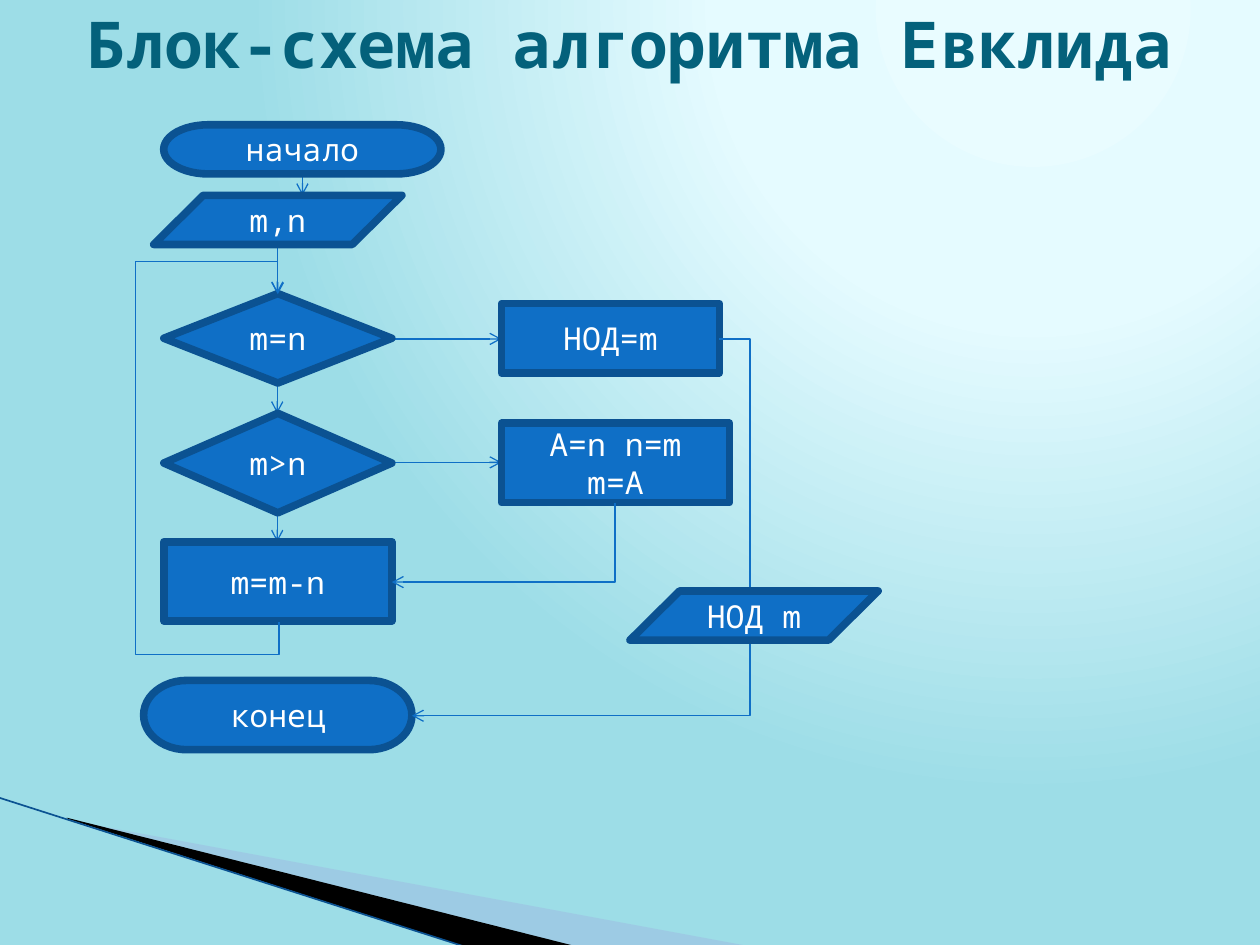
from lxml import etree
from pptx import Presentation
from pptx.dml.color import RGBColor
from pptx.enum import shapes, text
from pptx.oxml import parse_xml
from pptx.oxml.ns import nsdecls, qn
from pptx.util import Inches, Pt

COLORS = {
    "title": "04617B", "block": "0F6FC6", "border": "0B5292", "label": "FFFFFF",
    "wedge": "9DB2E1", "shade": "000000", "edge": "0B5292",
    "glow": "E9FCFF", "halo": "E5FBFF", "sky": "9DDDE7",
}
FONT = "Noto Sans Mono"
KIND = shapes.MSO_SHAPE
LINK = shapes.MSO_CONNECTOR


def color(name):
    return RGBColor.from_string(COLORS[name])


def add_link(kind, start, end, line_color="block", width=0.75, arrow=True):
    link = slide.shapes.add_connector(kind, *map(Inches, start + end))
    link.line.color.rgb = color(line_color)
    link.line.width = Pt(width)
    if arrow:
        etree.SubElement(link.line._get_or_add_ln(), qn("a:tailEnd"), type="arrow")
    etree.SubElement(link._element.spPr, qn("a:effectLst"))
    return link


prs = Presentation()
prs.slide_width, prs.slide_height = Inches(10), Inches(7.5)
slide = prs.slides.add_slide(prs.slide_layouts[6])

# Background: a circular glow from the upper right
slide.background.fill.gradient()
gradient = slide.background._cSld.find(".//" + qn("a:gradFill"))
stops = "".join(
    f'<a:gs pos="{pos * 1000}"><a:srgbClr val="{COLORS[name]}"/></a:gs>'
    for pos, name in [(0, "glow"), (40, "halo"), (100, "sky")])
gradient.getparent().replace(gradient, parse_xml(
    f'<a:gradFill {nsdecls("a")} rotWithShape="1"><a:gsLst>{stops}</a:gsLst>'
    '<a:path path="circle"><a:fillToRect l="65000" t="0" r="0" b="98000"/>'
    '</a:path></a:gradFill>'))

# Corner decoration
wedges = [
    ("wedge", [(0.55, 6.51), (5.95, 7.51), (4.56, 7.51), (0.55, 6.5)]),
    ("shade", [(0.53, 6.49), (4.57, 7.51), (3.72, 7.52), (0.54, 6.5)]),
]
for name, points in wedges:
    corners = [(Inches(x), Inches(y)) for x, y in points]
    builder = slide.shapes.build_freeform(*corners[0])
    builder.add_line_segments(corners[1:], close=True)
    wedge = builder.convert_to_shape()
    wedge.shadow.inherit = False
    wedge.fill.solid()
    wedge.fill.fore_color.rgb = color(name)
    wedge.line.fill.background()
    if name == "wedge":
        tint = wedge._element.spPr.find(".//" + qn("a:srgbClr"))
        etree.SubElement(tint, qn("a:alpha"), val="40000")
add_link(LINK.STRAIGHT, (-0.01, 6.33), (3.71, 7.52), "edge", 0.95, arrow=False)

# Title
title = slide.shapes.add_textbox(Inches(0.59), Inches(0.21), Inches(9), Inches(0.25))
title.text_frame.word_wrap = True
title.text_frame.vertical_anchor = text.MSO_ANCHOR.MIDDLE
heading = title.text_frame.paragraphs[0]
heading.text = "Блок-схема алгоритма Евклида"
heading.font.name, heading.font.size, heading.font.bold = FONT, Pt(36.9), True
heading.font.color.rgb = color("title")

# Straight arrows
arrows = [
    ((2.4, 1.39), (2.4, 1.55)),
    ((2.2, 1.94), (2.2, 2.33)),
    ((2.2, 3.04), (2.2, 3.28)),
    ((2.2, 4.07), (2.2, 4.3)),
    ((3.11, 2.69), (3.98, 2.69)),
    ((3.11, 3.67), (3.98, 3.67)),
]
for start, end in arrows:
    add_link(LINK.STRAIGHT, start, end)

# Blocks
blocks = [
    (KIND.FLOWCHART_TERMINATOR, 1.3, 0.99, 2.2, 0.39, "начало"),
    (KIND.FLOWCHART_DATA, 1.22, 1.55, 1.97, 0.39, "m,n"),
    (KIND.FLOWCHART_DECISION, 1.3, 2.33, 1.81, 0.71, "m=n"),
    (KIND.FLOWCHART_DECISION, 1.3, 3.28, 1.81, 0.79, "m>n"),
    (KIND.RECTANGLE, 1.3, 4.3, 1.81, 0.63, "m=m-n"),
    (KIND.RECTANGLE, 3.98, 2.41, 1.73, 0.55, "НОД=m"),
    (KIND.RECTANGLE, 3.98, 3.36, 1.81, 0.63, "A=n n=m m=A"),
    (KIND.FLOWCHART_TERMINATOR, 1.14, 5.4, 2.13, 0.55, "конец"),
    (KIND.FLOWCHART_DATA, 5, 4.69, 1.97, 0.39, "НОД m"),
]

# Bent arrows, as unrotated start and end, turn in degrees, preset, adjustments
bends = [
    ((3.51, 3.63), (0.91, 3.64), 90, "bentConnector5", [-0.1, 116, 1.1]),
    ((3.68, 3.42), (4.31, 5.19), 90, "bentConnector2", []),
    ((5.71, 2.69), (3.27, 5.68), 0, "bentConnector3", [-0.1]),
]


def add_bend(start, end, turn, preset, adjustments):
    """Add an elbow arrow whose preset and bend points are set explicitly."""
    props = add_link(LINK.ELBOW, start, end)._element.spPr
    props.find(qn("a:xfrm")).set("rot", str(turn * 60000))
    geometry = props.find(qn("a:prstGeom"))
    geometry.set("prst", preset)
    for number, value in enumerate(adjustments, 1):
        etree.SubElement(geometry.find(qn("a:avLst")), qn("a:gd"),
                         name=f"adj{number}", fmla=f"val {round(value * 100000)}")


for kind, left, top, width, height, label in blocks:
    if label == "НОД m":  # the output block covers the arrow to the end block
        for bend in bends:
            add_bend(*bend)
    block = slide.shapes.add_shape(kind, *map(Inches, (left, top, width, height)))
    block.shadow.inherit = False
    block.fill.solid()
    block.fill.fore_color.rgb = color("block")
    block.line.color.rgb = color("border")
    block.line.width = Pt(4.33)
    frame = block.text_frame
    frame.word_wrap = True
    frame.vertical_anchor = text.MSO_ANCHOR.MIDDLE
    caption = frame.paragraphs[0]
    caption.text = label
    caption.alignment = text.PP_ALIGN.CENTER
    caption.font.name, caption.font.size = FONT, Pt(18)
    caption.font.color.rgb = color("label")

prs.save("out.pptx")
